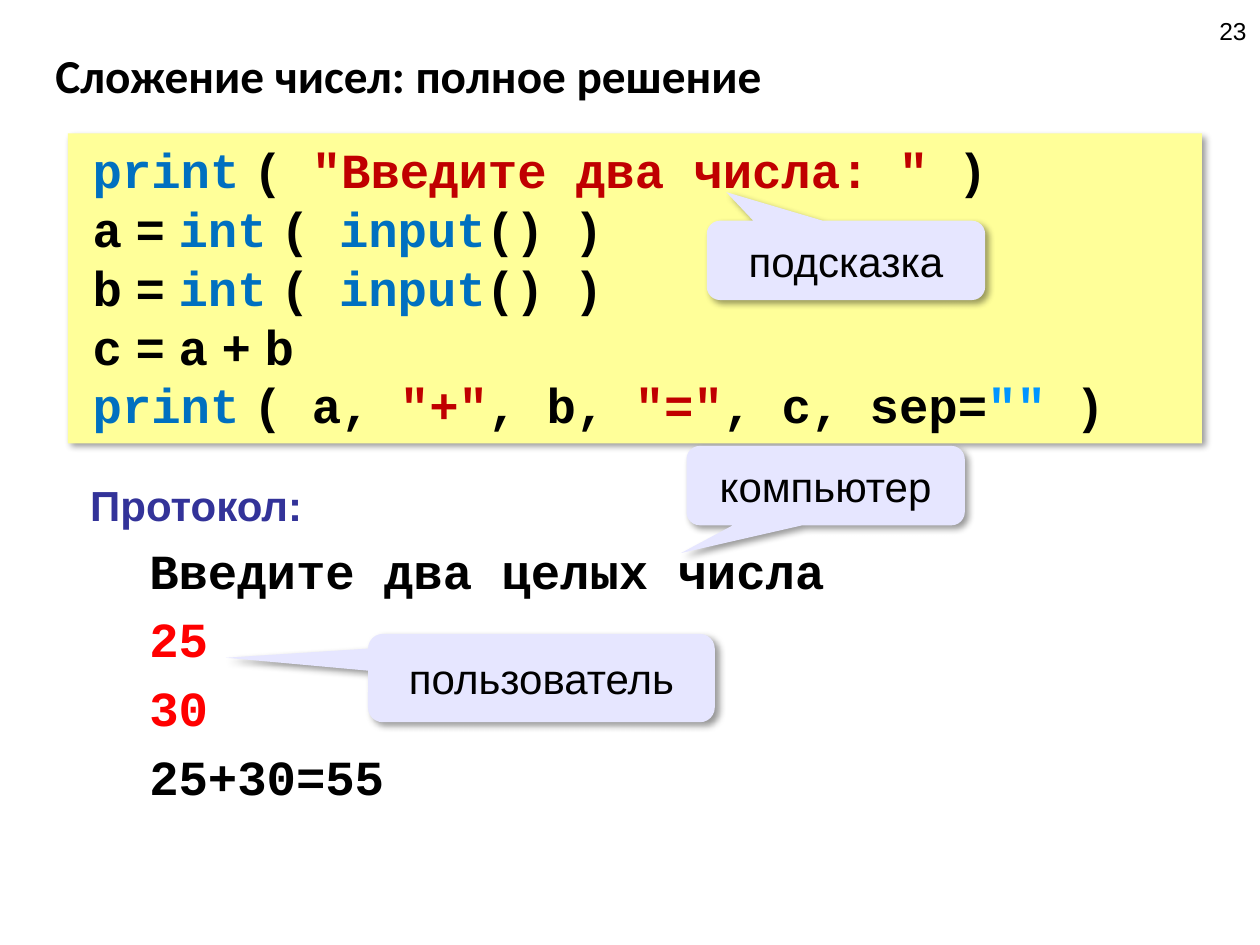
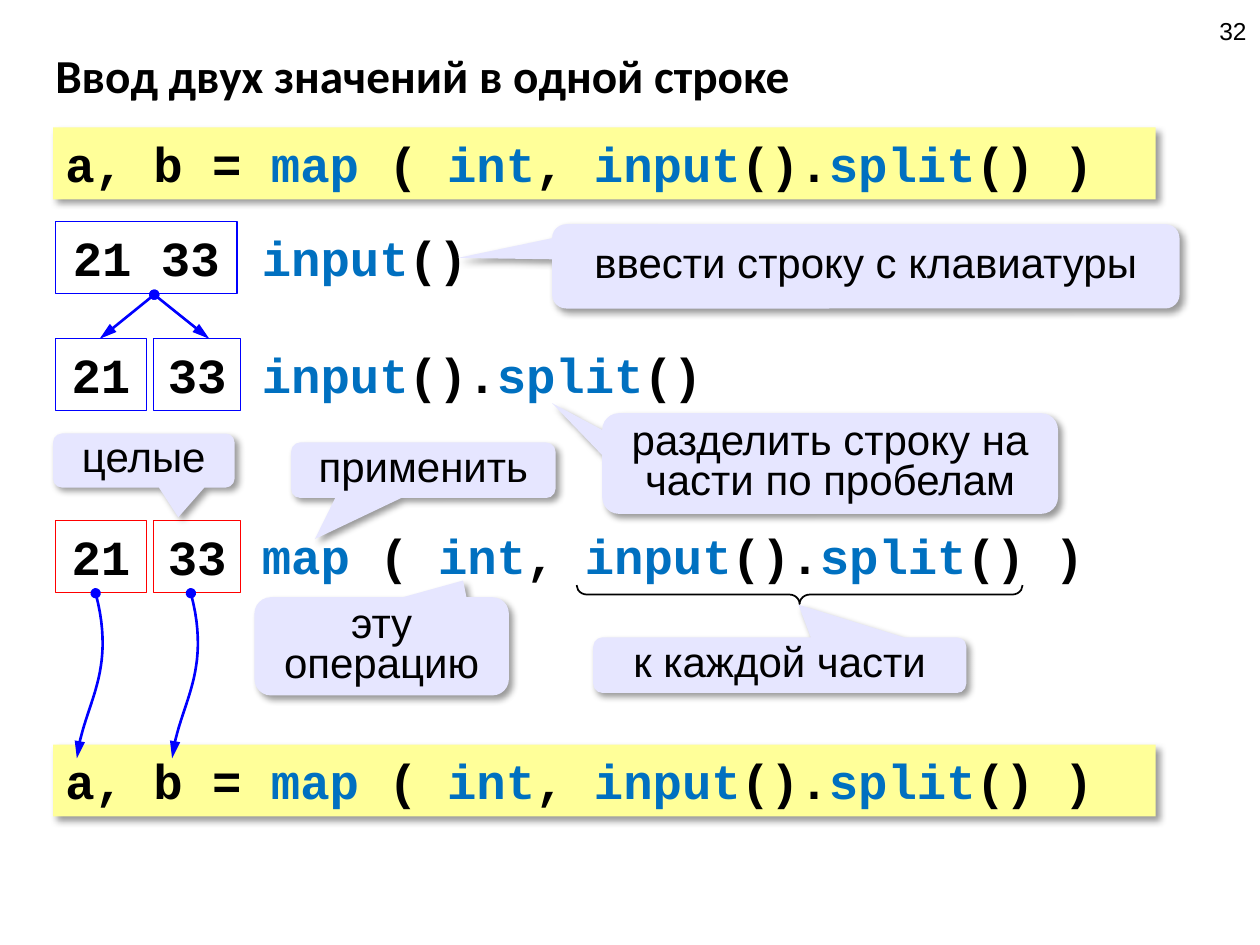
from lxml.etree import SubElement
from pptx import Presentation
from pptx.dml.color import RGBColor
from pptx.enum.shapes import MSO_CONNECTOR, MSO_SHAPE
from pptx.enum.text import MSO_ANCHOR, PP_ALIGN
from pptx.oxml.ns import qn
from pptx.util import Cm, Pt

BLACK = RGBColor(0x00, 0x00, 0x00)
KEYWORD_BLUE = RGBColor(0x00, 0x70, 0xC0)
STRING_RED = RGBColor(0xC0, 0x00, 0x00)
EMPTY_STRING_BLUE = RGBColor(0x00, 0x95, 0xFF)
HEADING_BLUE = RGBColor(0x33, 0x33, 0x99)
ARROW_BLUE = RGBColor(0x00, 0x00, 0xFF)
RED = RGBColor(0xFF, 0x00, 0x00)
CODE_YELLOW = RGBColor(0xFF, 0xFF, 0x99)
CALLOUT_LILAC = RGBColor(0xE6, 0xE6, 0xFF)

CODE_FONT = "Courier New"
TEXT_FONT = "Arial"
TITLE_FONT = "Calibri"

NARROW_SPACE = (" ", BLACK, TEXT_FONT)
SPLIT_INPUT = [("input", KEYWORD_BLUE), ("().", BLACK), ("split", KEYWORD_BLUE)]
MAP_CALL = [("map", KEYWORD_BLUE), (" ( ", BLACK), ("int", KEYWORD_BLUE), (", ", BLACK),
            *SPLIT_INPUT, ("() )", BLACK)]
MAP_ASSIGNMENT = [("a, b = ", BLACK), *MAP_CALL]

CELL_LEFT = 1.12
SECOND_CELL_LEFT = 3.1
CODE_LEFT = 5.03


def box(left, top, width, height):
    return Cm(left), Cm(top), Cm(width), Cm(height)


def write(paragraph, runs, size=28, font=CODE_FONT, bold=True, align=PP_ALIGN.LEFT):
    paragraph.alignment = align
    paragraph.font.size = Pt(size)
    paragraph.font.name = font
    paragraph.font.bold = bold
    for text, color, *own_font in runs:
        run = paragraph.add_run()
        run.text = text
        run.font.color.rgb = color
        if own_font:
            run.font.name = own_font[0]


def write_lines(frame, lines, **style):
    for number, runs in enumerate(lines):
        paragraph = frame.add_paragraph() if number else frame.paragraphs[0]
        write(paragraph, runs, **style)


def indent(paragraph, margin, first_line=0):
    properties = paragraph._p.get_or_add_pPr()
    properties.set("marL", str(Cm(margin)))
    properties.set("indent", str(Cm(first_line)))


def add_drop_shadow(shape):
    effects = shape.element.spPr.find(qn("a:effectLst"))
    shadow = SubElement(effects, qn("a:outerShdw"), blurRad=str(Pt(4)), dist=str(Pt(3)),
                        dir="2700000", algn="tl", rotWithShape="0")
    color = SubElement(shadow, qn("a:srgbClr"), val="000000")
    SubElement(color, qn("a:alpha"), val="40000")


def add_panel(slide, kind, bounds, fill=None, line=None, line_width=0.75):
    shape = slide.shapes.add_shape(kind, *box(*bounds))
    shape.shadow.inherit = False
    if fill is None:
        shape.fill.background()
    else:
        shape.fill.solid()
        shape.fill.fore_color.rgb = fill
        add_drop_shadow(shape)
    if line is None:
        shape.line.fill.background()
    else:
        shape.line.color.rgb = line
        shape.line.width = Pt(line_width)
    shape.text_frame.word_wrap = True
    return shape


def add_code_band(slide, bounds, lines):
    band = add_panel(slide, MSO_SHAPE.RECTANGLE, bounds, fill=CODE_YELLOW)
    band.text_frame.vertical_anchor = MSO_ANCHOR.TOP
    write_lines(band.text_frame, lines)
    return band


def add_callout(slide, text, bounds, tip, line_spacing=1.0):
    callout = add_panel(slide, MSO_SHAPE.ROUNDED_RECTANGULAR_CALLOUT, bounds, fill=CALLOUT_LILAC)
    callout.adjustments[0], callout.adjustments[1] = tip
    callout.text_frame.vertical_anchor = MSO_ANCHOR.MIDDLE
    paragraph = callout.text_frame.paragraphs[0]
    write(paragraph, [(text, BLACK)], 24, TEXT_FONT, False, PP_ALIGN.CENTER)
    paragraph.line_spacing = line_spacing


def add_value_cell(slide, text, left, top, width, line):
    cell = add_panel(slide, MSO_SHAPE.RECTANGLE, (left, top, width, 1.45), line=line)
    cell.text_frame.vertical_anchor = MSO_ANCHOR.TOP
    write(cell.text_frame.paragraphs[0], [(text, BLACK)], align=PP_ALIGN.CENTER)


def add_value_pair(slide, top, line):
    add_value_cell(slide, "21", CELL_LEFT, top, 1.83, line)
    add_value_cell(slide, "33", SECOND_CELL_LEFT, top, 1.75, line)


def add_text(slide, bounds):
    frame = slide.shapes.add_textbox(*box(*bounds)).text_frame
    frame.word_wrap = True
    return frame


def add_code_label(slide, runs, top, width):
    frame = add_text(slide, (CODE_LEFT, top, width, 1.45))
    write(frame.paragraphs[0], runs)


def style_arrow(arrow):
    arrow.line.color.rgb = ARROW_BLUE
    arrow.line.width = Pt(1.5)
    line = arrow.element.spPr.find(qn("a:ln"))
    SubElement(line, qn("a:headEnd"), type="oval")
    SubElement(line, qn("a:tailEnd"), type="triangle", len="lg")


def add_straight_arrow(slide, start, end):
    arrow = slide.shapes.add_connector(MSO_CONNECTOR.STRAIGHT, *box(*start, *end))
    style_arrow(arrow)
    SubElement(arrow.element.spPr, qn("a:effectLst"))


def bezier_point(points, t):
    weights = ((1 - t) ** 3, 3 * t * (1 - t) ** 2, 3 * t ** 2 * (1 - t), t ** 3)
    return tuple(Cm(sum(w * p[axis] for w, p in zip(weights, points))) for axis in (0, 1))


def add_curved_arrow(slide, points, steps=24):
    start, *rest = [bezier_point(points, step / steps) for step in range(steps + 1)]
    builder = slide.shapes.build_freeform(*start)
    builder.add_line_segments(rest, close=False)
    arrow = builder.convert_to_shape()
    arrow.shadow.inherit = False
    arrow.fill.background()
    style_arrow(arrow)


def add_titled_slide(presentation, title, number):
    slide = presentation.slides.add_slide(presentation.slide_layouts[5])
    heading = slide.shapes.title
    heading.left, heading.top, heading.width, heading.height = box(0.86, 0.84, 23.27, 1.32)
    heading.text_frame.vertical_anchor = MSO_ANCHOR.MIDDLE
    write(heading.text_frame.paragraphs[0], [(title, BLACK)], 27, TITLE_FONT)
    frame = add_text(slide, (19.46, -0.05, 5.92, 1.32))
    frame.vertical_anchor = MSO_ANCHOR.MIDDLE
    write(frame.paragraphs[0], [(number, BLACK)], 14, TEXT_FONT, False, PP_ALIGN.RIGHT)
    return slide


def read_integer(name):
    return [(name, BLACK), NARROW_SPACE, ("=", BLACK), NARROW_SPACE, ("int", KEYWORD_BLUE),
            NARROW_SPACE, ("( ", BLACK), ("input", KEYWORD_BLUE), ("() )", BLACK)]


def build_addition_slide(presentation):
    slide = add_titled_slide(presentation, "Сложение чисел: полное решение", "23")
    sum_line = [("c", BLACK)]
    for symbol in "=a+b":
        sum_line += [NARROW_SPACE, (symbol, BLACK)]
    print_start = [("print", KEYWORD_BLUE), NARROW_SPACE]
    program = [
        [*print_start, ("( ", BLACK), ('"Введите два числа: "', STRING_RED), (" )", BLACK)],
        read_integer("a"),
        read_integer("b"),
        sum_line,
        [*print_start, ("( a, ", BLACK), ('"+"', STRING_RED), (", b, ", BLACK),
         ('"="', STRING_RED), (", c, sep=", BLACK), ('""', EMPTY_STRING_BLUE), (" )", BLACK)],
    ]
    band = add_code_band(slide, (1.37, 2.69, 22.86, 6.25), program)
    for paragraph in band.text_frame.paragraphs:
        indent(paragraph, 0.5, -0.25)

    protocol = add_text(slide, (1.57, 9.55, 23.01, 7.04))
    write(protocol.paragraphs[0], [("Протокол:", HEADING_BLUE)], 24, TEXT_FONT)
    for text, color in (("Введите два целых числа", BLACK), ("25", RED), ("30", RED),
                        ("25+30=55", BLACK)):
        paragraph = protocol.add_paragraph()
        write(paragraph, [(text, color)])
        paragraph.space_before = Pt(5.6)
        indent(paragraph, 1.19)

    add_callout(slide, "компьютер", (13.84, 8.99, 5.61, 1.6), (-0.52, 0.85))
    add_callout(slide, "пользователь", (7.42, 12.78, 6.99, 1.78), (-0.91, -0.23))
    add_callout(slide, "подсказка", (14.25, 4.45, 5.61, 1.6), (-0.43, -0.86))


def build_input_slide(presentation):
    slide = add_titled_slide(presentation, "Ввод двух значений в одной строке", "32")
    for top in (2.57, 15.01):
        add_code_band(slide, (1.07, top, 22.23, 1.45), [MAP_ASSIGNMENT])

    add_code_label(slide, [("input", KEYWORD_BLUE), ("()", BLACK)], 4.47, 4.8)
    add_code_label(slide, [*SPLIT_INPUT, ("()", BLACK)], 6.83, 10.06)
    add_code_label(slide, MAP_CALL, 10.46, 18.75)

    add_value_cell(slide, "21 33", CELL_LEFT, 4.47, 3.66, ARROW_BLUE)
    add_value_pair(slide, 6.83, ARROW_BLUE)
    add_value_pair(slide, 10.49, RED)

    for text, bounds, tip in (
        ("ввести строку с клавиатуры", (11.13, 4.52, 12.65, 1.7), (-0.65, -0.1)),
        ("разделить строку на части по пробелам", (12.14, 8.33, 9.19, 2.03), (-0.61, -0.6)),
        ("целые", (1.07, 8.74, 3.66, 1.09), (0.19, 1.05)),
        ("применить", (5.87, 8.92, 5.33, 1.12), (-0.41, 1.24)),
        ("эту операцию", (5.13, 12.04, 5.13, 1.98), (0.32, -0.67)),
        ("к каждой части", (11.96, 12.85, 7.52, 1.12), (0.05, -1.09)),
    ):
        add_callout(slide, text, bounds, tip, line_spacing=0.8)

    brace = add_panel(slide, MSO_SHAPE.LEFT_BRACE, (15.93, 7.49, 0.38, 8.99),
                      line=BLACK, line_width=1)
    brace.rotation = 270
    brace.adjustments[0] = 0.55

    for shift in (0, 1.92):
        curve = ((1.93, 11.96), (2.36, 13.59), (1.68, 14.2), (1.55, 15.29))
        add_curved_arrow(slide, [(x + shift, y) for x, y in curve])
    for end_left in (2.01, 4.22):
        add_straight_arrow(slide, (3.11, 5.94), (end_left, 6.83))


def main():
    presentation = Presentation()
    presentation.slide_width = Cm(25.4)
    presentation.slide_height = Cm(19.05)
    build_addition_slide(presentation)
    build_input_slide(presentation)
    presentation.save("out.pptx")


if __name__ == "__main__":
    main()
